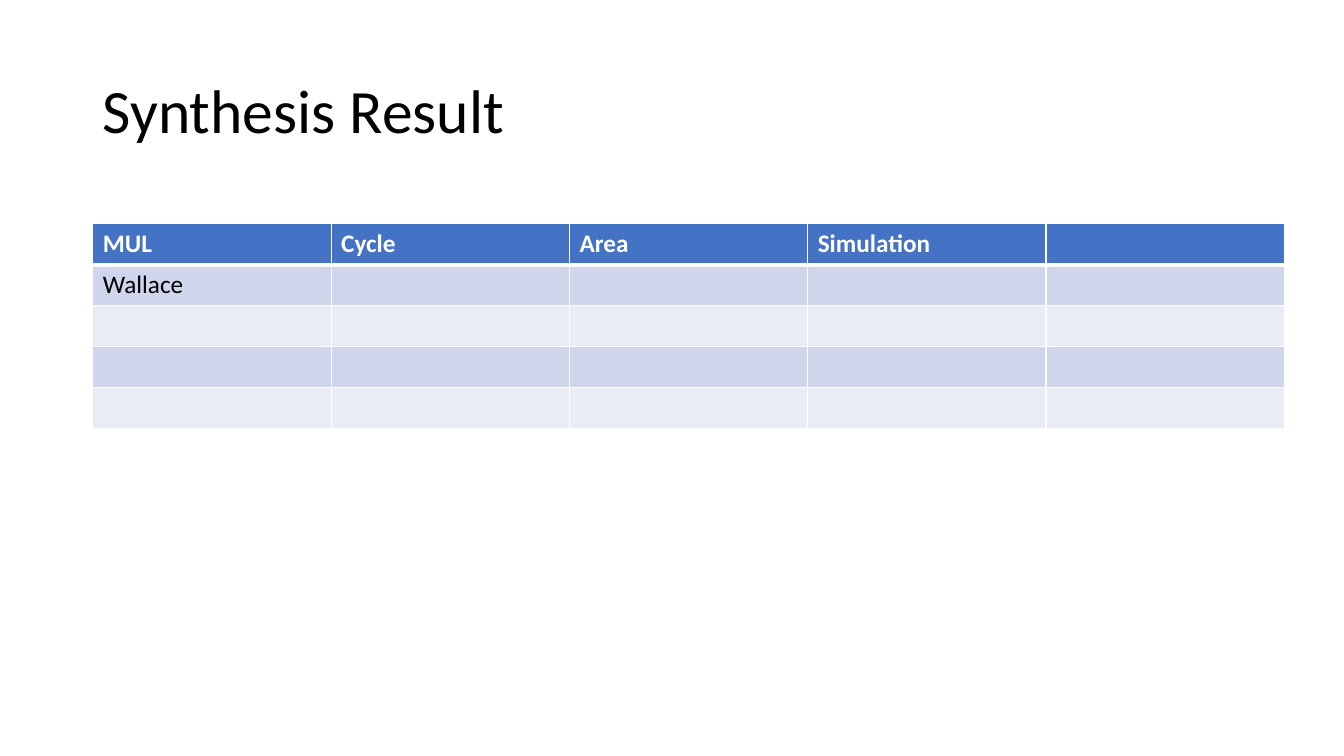
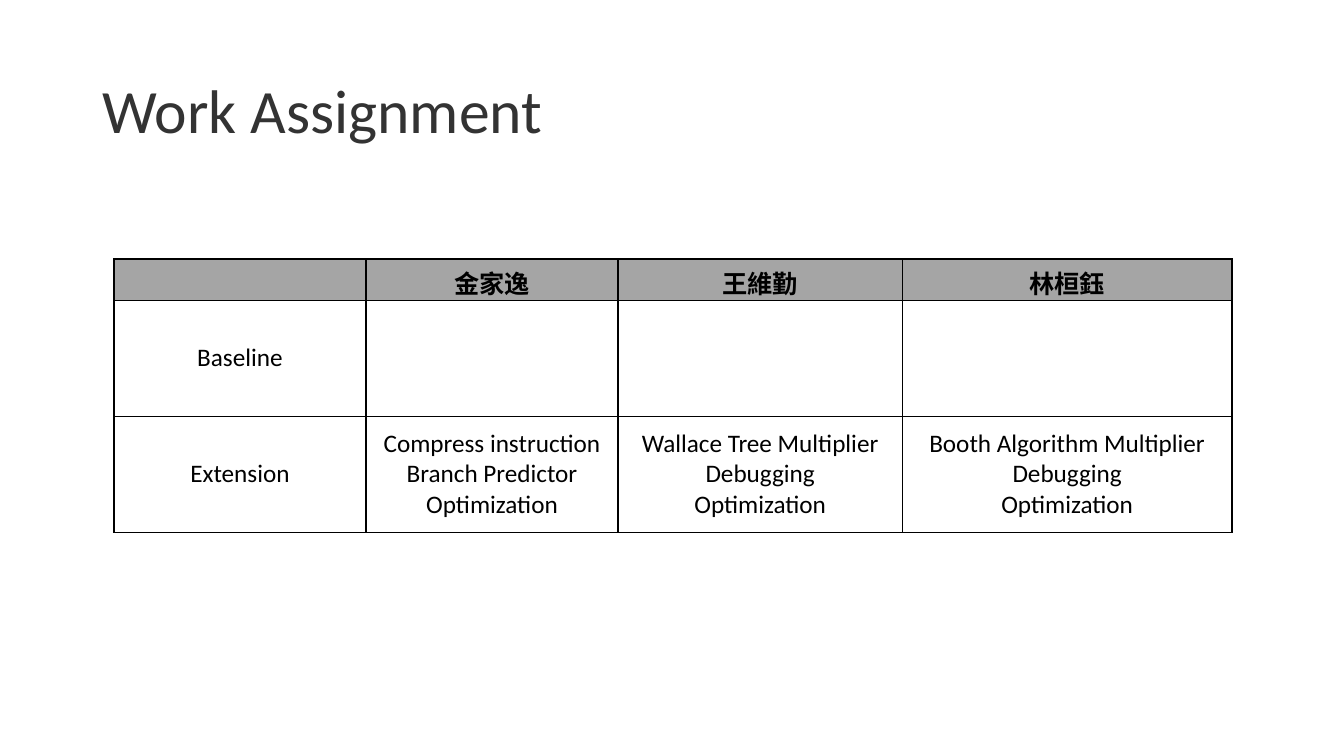
from dataclasses import dataclass

from lxml.etree import SubElement as Sub
from pptx import Presentation
from pptx.dml.color import RGBColor as RGB
from pptx.enum.text import MSO_ANCHOR as Anchor, PP_ALIGN as Align
from pptx.oxml.ns import qn
from pptx.util import Inches, Pt


# Shared look
@dataclass(frozen=True)
class Theme:
    font: str = "Calibri"
    head: int = 44
    body: int = 18
    black: str = "000000"
    dark: str = "333333"
    white: str = "FFFFFF"
    blue: str = "4472C4"
    bands: tuple = ("CFD5EA", "E9EBF5")
    gray: str = "A5A5A5"


T = Theme()


def style(frame, size, color, bold=False, align=Align.LEFT):
    for para in frame.paragraphs:
        para.alignment = align
        for run in para.runs:
            font = run.font
            font.name, font.size, font.bold = T.font, Pt(size), bold
            font.color.rgb = RGB.from_string(color)


def title(slide, text, color):
    box = slide.shapes.add_textbox(
        Inches(0.92), Inches(0.4), Inches(11.5), Inches(1.45))
    frame = box.text_frame
    frame.word_wrap = True
    frame.vertical_anchor = Anchor.MIDDLE
    frame.text = text
    frame.paragraphs[0].line_spacing = 0.9
    style(frame, T.head, color)


def paint(cell, color):
    cell.fill.solid()
    cell.fill.fore_color.rgb = RGB.from_string(color)


def border(cell, color, top=1, bottom=1):
    # Border lines must come before the fill in the cell properties
    props = cell._tc.get_or_add_tcPr()
    sides = {"L": 1, "R": 1, "T": top, "B": bottom}
    for pos, (side, width) in enumerate(sides.items()):
        line = Sub(props, qn(f"a:ln{side}"), w=str(Pt(width)))
        fill = Sub(line, qn("a:solidFill"))
        Sub(fill, qn("a:srgbClr"), val=color)
        props.insert(pos, line)


def grid(slide, left, top, cols, rows, data, fills, line, ink,
         rule=1, align=Align.LEFT, anchor=Anchor.TOP):
    """Add a table; ink colours the header text, rule is the line below it."""
    table = slide.shapes.add_table(
        len(rows), len(cols), Inches(left), Inches(top),
        Inches(sum(cols)), Inches(sum(rows))).table
    for col, width in zip(table.columns, cols):
        col.width = Inches(width)
    for r, (height, texts) in enumerate(zip(rows, data)):
        table.rows[r].height = Inches(height)
        first = r == 0
        for c, text in enumerate(texts):
            cell = table.cell(r, c)
            cell.text_frame.text = text
            cell.vertical_anchor = Anchor.TOP if first else anchor
            style(cell.text_frame, T.body, ink if first else T.black,
                  first, align)
            paint(cell, fills[r])
            border(cell, line, top=rule if r == 1 else 1,
                   bottom=rule if first else 1)


def result(slide):
    title(slide, "Synthesis Result", T.black)
    data = [["MUL", "Cycle", "Area", "Simulation", ""],
            ["Wallace"] + [""] * 4] + [[""] * 5] * 3
    grid(slide, 0.92, 2.22, [2.364] * 5, [0.406] * 5, data,
         [T.blue, *T.bands * 2], T.white, T.white, rule=3)


def work(slide):
    title(slide, "Work Assignment", T.dark)
    tail = "\nDebugging\nOptimization"
    data = [["", "金家逸", "王維勤", "林桓鈺"],
            ["Baseline", "", "", ""],
            ["Extension",
             "Compress instruction\nBranch Predictor\nOptimization",
             "Wallace Tree Multiplier" + tail,
             "Booth Algorithm Multiplier" + tail]]
    grid(slide, 1.13, 2.57, [2.5, 2.5, 2.82, 3.27], [0.41, 1.15, 1.15], data,
         [T.gray, T.white, T.white], T.black, T.black,
         align=Align.CENTER, anchor=Anchor.MIDDLE)


def main():
    deck = Presentation()
    deck.slide_width, deck.slide_height = Inches(13.33), Inches(7.5)
    for build in (result, work):
        build(deck.slides.add_slide(deck.slide_layouts[6]))
    deck.save("out.pptx")


if __name__ == "__main__":
    main()
